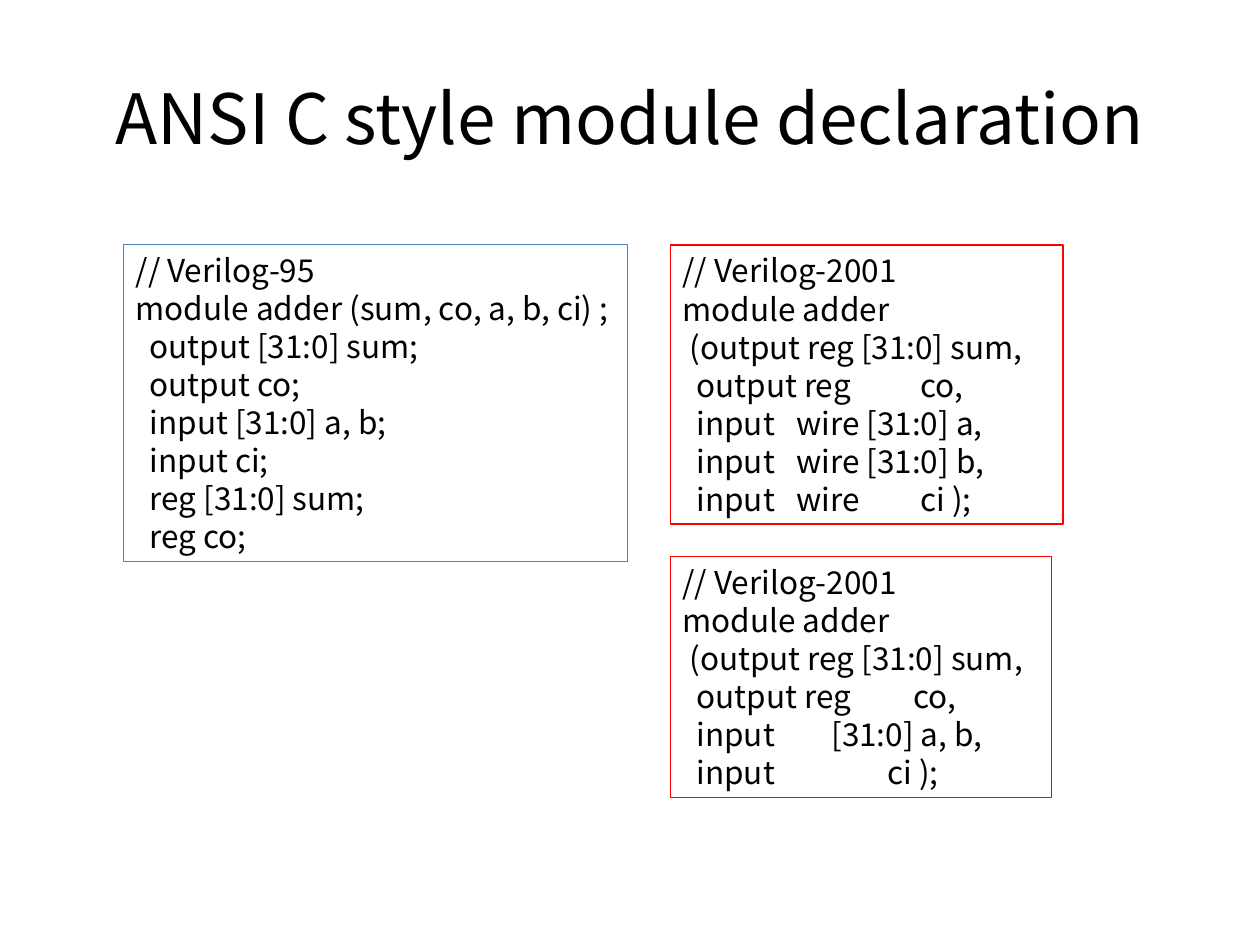
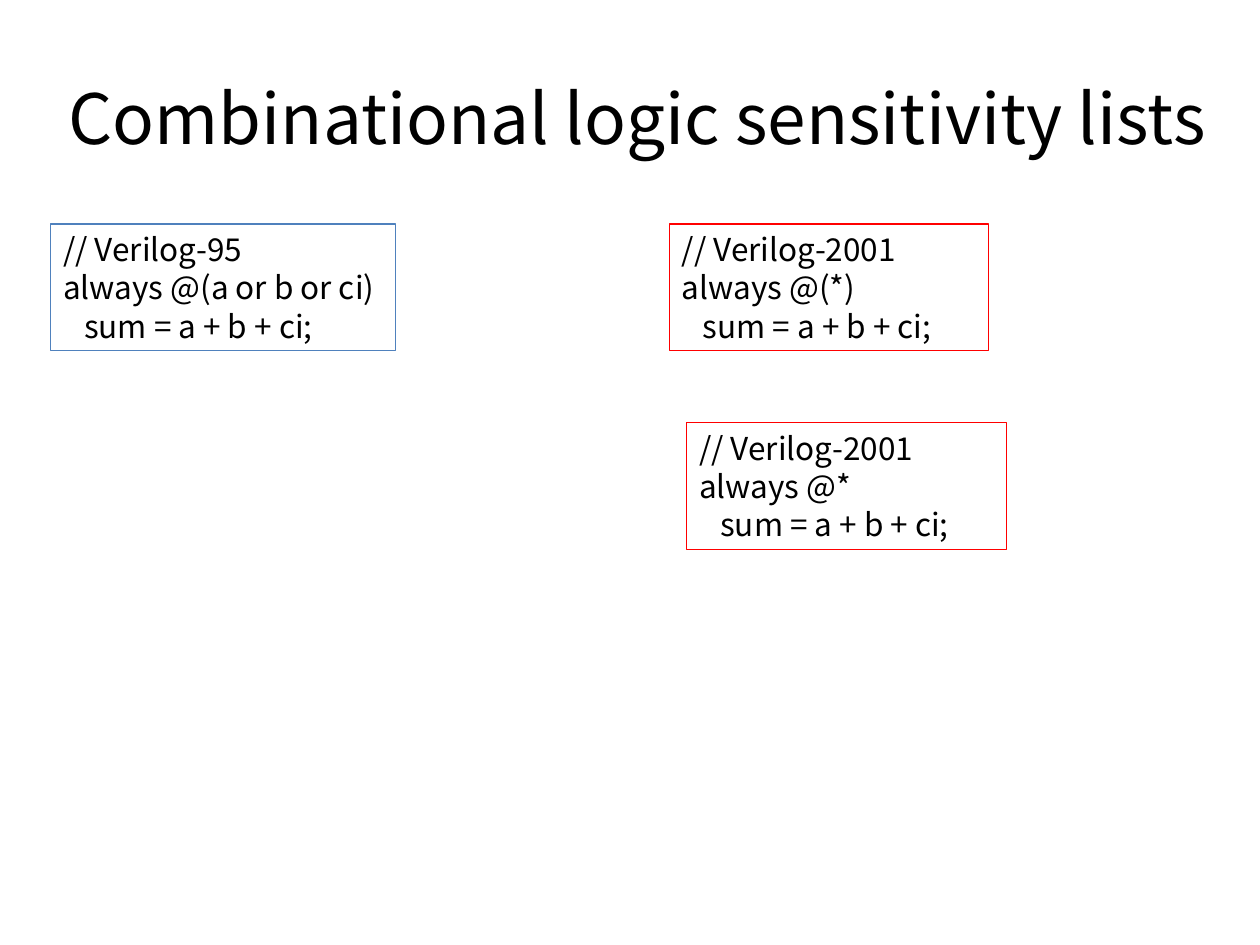
from lxml import etree
from pptx import Presentation
from pptx.dml.color import RGBColor
from pptx.enum import shapes, text
from pptx.oxml import ns
from pptx.util import Pt

BLACK = RGBColor(0x00, 0x00, 0x00)
BLUE = RGBColor(0x4F, 0x81, 0xBD)
RED = RGBColor(0xFF, 0x00, 0x00)
FONT = "Noto Sans CJK KR"
TITLE_SIZE, CODE_SIZE, LINE_PITCH = 39.6, 18, 21.75
INSET = 3.6

# Tab stops of the code, in points
HALF_INDENT, INDENT, DEEP_INDENT = 4, 8, 12
SUM_LINE = ("\tsum = a + b + ci;", DEEP_INDENT)


def set_tab_stops(paragraph, stops):
    properties = paragraph._p.get_or_add_pPr()
    tab_list = etree.SubElement(properties, ns.qn("a:tabLst"))
    for stop in stops:
        etree.SubElement(tab_list, ns.qn("a:tab"), pos=str(Pt(stop)), algn="l")


class Deck:
    def __init__(self):
        self.presentation = Presentation()
        self.presentation.slide_width = Pt(720)
        self.presentation.slide_height = Pt(540)
        self.slide = None

    def style(self, paragraph, size):
        paragraph.font.name = FONT
        paragraph.font.size = Pt(size)
        paragraph.font.color.rgb = BLACK

    def add_slide(self, title, left=36, width=648):
        layout = self.presentation.slide_layouts[6]
        self.slide = self.presentation.slides.add_slide(layout)
        box = self.slide.shapes.add_textbox(Pt(left), Pt(21.6), Pt(width), Pt(90))
        frame = box.text_frame
        frame.word_wrap = True
        frame.vertical_anchor = text.MSO_ANCHOR.MIDDLE
        paragraph = frame.paragraphs[0]
        paragraph.text = title
        paragraph.alignment = text.PP_ALIGN.CENTER
        self.style(paragraph, TITLE_SIZE)

    def add_code(self, left, top, width, color, lines):
        """Frame code lines; a line is a string, or a tuple of text and tab stops."""
        height = len(lines) * LINE_PITCH + 2 * INSET
        box = self.slide.shapes.add_shape(
            shapes.MSO_SHAPE.RECTANGLE, Pt(left), Pt(top), Pt(width), Pt(height))
        box.shadow.inherit = False
        box.fill.background()
        box.line.color.rgb = color
        box.line.width = Pt(0.75)
        frame = box.text_frame
        frame.word_wrap = True
        frame.vertical_anchor = text.MSO_ANCHOR.TOP
        for index, line in enumerate(lines):
            content, *stops = (line,) if isinstance(line, str) else line
            paragraph = frame.add_paragraph() if index else frame.paragraphs[0]
            paragraph.text = content
            paragraph.alignment = text.PP_ALIGN.LEFT
            paragraph.line_spacing = Pt(LINE_PITCH)
            if stops:
                set_tab_stops(paragraph, stops)
            self.style(paragraph, CODE_SIZE)

    def add_verilog_95(self, left, top, width, *lines):
        self.add_code(left, top, width, BLUE, ("// Verilog-95", *lines))

    def add_verilog_2001(self, left, top, width, *lines):
        self.add_code(left, top, width, RED, ("// Verilog-2001", *lines))


def add_module_declaration(deck):
    deck.add_slide("ANSI C style module declaration")
    declarations = ("output [31:0] sum;", "output co;", "input [31:0] a, b;",
                    "input ci;", "reg [31:0] sum;", "reg co;")
    deck.add_verilog_95(
        70.5, 139.7, 288, "module adder (sum, co, a, b, ci) ;",
        *(("\t" + declaration, INDENT) for declaration in declarations))
    deck.add_verilog_2001(
        383, 140, 224.5, "module adder",
        ("\t(output reg\t[31:0] sum,", HALF_INDENT, 102),
        ("\toutput reg\tco,", INDENT, 136),
        ("\tinput\twire [31:0] a,", INDENT, 65),
        ("\tinput\twire [31:0] b,", INDENT, 65),
        ("\tinput\twire\tci );", INDENT, 65, 136))
    deck.add_verilog_2001(
        383, 318, 218, "module adder",
        ("\t(output reg [31:0] sum,", HALF_INDENT),
        ("\toutput reg\tco,", INDENT, 132),
        ("\tinput\t[31:0] a, b,", INDENT, 85),
        ("\tinput\tci );", INDENT, 117))


def add_sensitivity_lists(deck):
    deck.add_slide("Combinational logic sensitivity lists", 29.5, 669)
    deck.add_verilog_95(29, 128, 197, "always @(a or b or ci)", SUM_LINE)
    deck.add_verilog_2001(382.5, 128, 182.5, "always @(*)", SUM_LINE)
    deck.add_verilog_2001(392.5, 241.5, 182.5, "always @*", SUM_LINE)


def main():
    deck = Deck()
    add_module_declaration(deck)
    add_sensitivity_lists(deck)
    deck.presentation.save("out.pptx")


if __name__ == "__main__":
    main()
